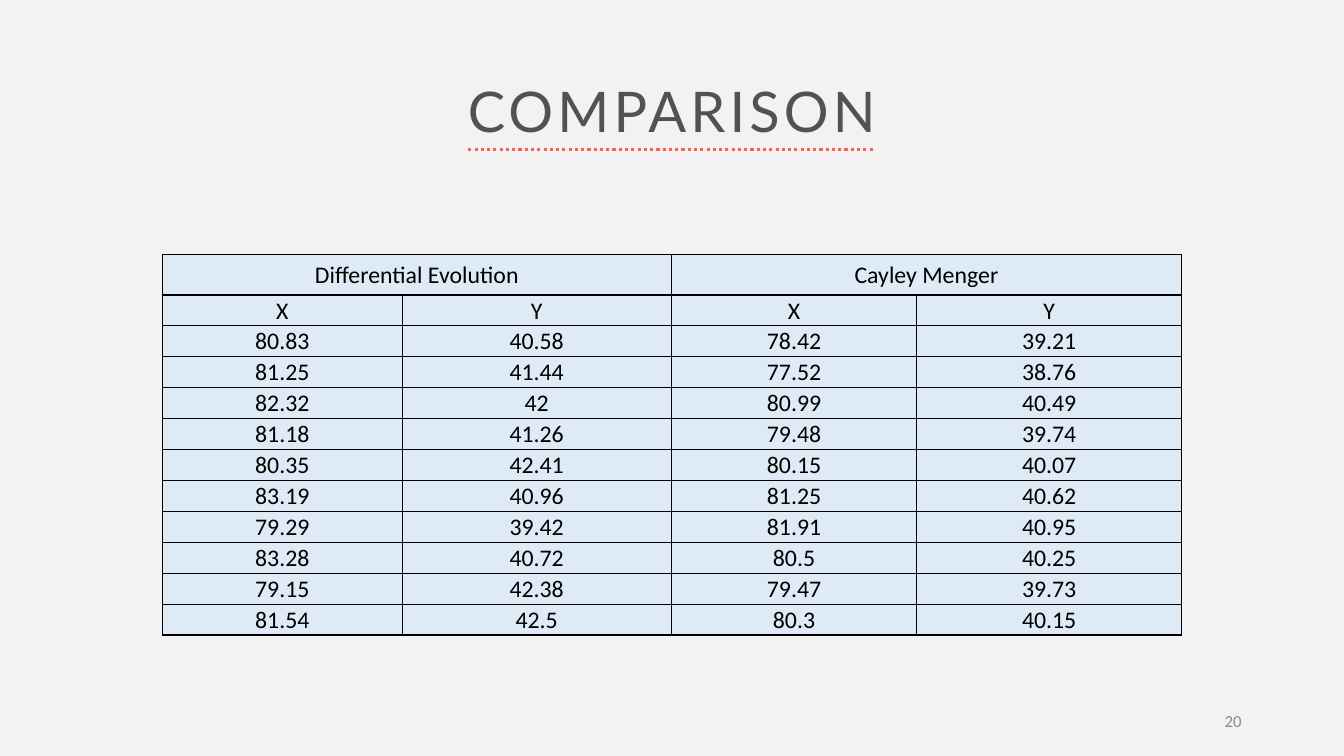
from lxml import etree
from pptx import Presentation
from pptx.dml.color import RGBColor
from pptx.enum import dml, shapes, text
from pptx.oxml import ns
from pptx.util import Pt

HEADINGS = ["Differential Evolution", "Cayley Menger"]
ROWS = [
    ["X", "Y", "X", "Y"],
    ["80.83", "40.58", "78.42", "39.21"],
    ["81.25", "41.44", "77.52", "38.76"],
    ["82.32", "42", "80.99", "40.49"],
    ["81.18", "41.26", "79.48", "39.74"],
    ["80.35", "42.41", "80.15", "40.07"],
    ["83.19", "40.96", "81.25", "40.62"],
    ["79.29", "39.42", "81.91", "40.95"],
    ["83.28", "40.72", "80.5", "40.25"],
    ["79.15", "42.38", "79.47", "39.73"],
    ["81.54", "42.5", "80.3", "40.15"],
]
COLUMN_WIDTHS = [171.3, 192.2, 175.4, 189.2]
HEADING_HEIGHT, ROW_HEIGHT = 29, 22.1


def color(value):
    return RGBColor.from_string(value)


def write(frame, words, font, size, tint, align):
    para = frame.paragraphs[0]
    para.alignment = align
    span = para.add_run()
    span.text = words
    span.font.name = font
    span.font.size = Pt(size)
    span.font.color.rgb = color(tint)
    return span


def add_title(slide, words):
    title = slide.shapes.title
    title.left, title.top, title.width, title.height = Pt(186.5), Pt(51), Pt(587), Pt(55.5)
    frame = title.text_frame
    frame.auto_size = text.MSO_AUTO_SIZE.NONE
    frame.vertical_anchor = text.MSO_ANCHOR.TOP
    span = write(frame, words, "Lato", 40, "525252", text.PP_ALIGN.CENTER)
    span.font._element.set("spc", "300")  # letter spacing, hundredths of a point


def add_dotted_line(slide, left, right, top):
    line = slide.shapes.add_connector(
        shapes.MSO_CONNECTOR.STRAIGHT, Pt(left), Pt(top), Pt(right), Pt(top))
    line.line.color.rgb = color("FF6056")
    line.line.width = Pt(2.25)
    line.line.dash_style = dml.MSO_LINE.ROUND_DOT
    etree.SubElement(line._element.spPr, ns.qn("a:effectLst"))


def add_page_number(slide, number):
    box = slide.shapes.add_textbox(Pt(678), Pt(500.5), Pt(216), Pt(28.75))
    frame = box.text_frame
    frame.word_wrap = True
    frame.vertical_anchor = text.MSO_ANCHOR.MIDDLE
    write(frame, number, "Calibri", 12, "8C8C8C", text.PP_ALIGN.RIGHT)


def style_cell(cell):
    cell.margin_left = cell.margin_right = cell.margin_top = Pt(0.7)
    cell.margin_bottom = 0
    cell.vertical_anchor = text.MSO_ANCHOR.MIDDLE
    # Borders come before the fill in the cell properties
    properties = cell._tc.get_or_add_tcPr()
    for side in ("a:lnL", "a:lnR", "a:lnT", "a:lnB"):
        border = etree.SubElement(properties, ns.qn(side), w=str(Pt(1)))
        fill = etree.SubElement(border, ns.qn("a:solidFill"))
        etree.SubElement(fill, ns.qn("a:srgbClr"), val="000000")
    cell.fill.solid()
    cell.fill.fore_color.rgb = color("DEEBF7")


def add_results(slide):
    height = HEADING_HEIGHT + ROW_HEIGHT * len(ROWS)
    table = slide.shapes.add_table(
        len(ROWS) + 1, len(COLUMN_WIDTHS), Pt(116), Pt(181.7),
        Pt(sum(COLUMN_WIDTHS)), Pt(height)).table
    table.first_row = table.horz_banding = False
    for column, width in zip(table.columns, COLUMN_WIDTHS):
        column.width = Pt(width)
    for index, row in enumerate(table.rows):
        row.height = Pt(ROW_HEIGHT if index else HEADING_HEIGHT)
    for cell in table.iter_cells():
        style_cell(cell)

    # Each method heading spans its X and Y columns
    entries = []
    for index, heading in enumerate(HEADINGS):
        cell = table.cell(0, 2 * index)
        cell.merge(table.cell(0, 2 * index + 1))
        entries.append((cell, heading))
    for r, values in enumerate(ROWS, start=1):
        entries += [(table.cell(r, c), value) for c, value in enumerate(values)]
    for cell, words in entries:
        write(cell.text_frame, words, "Calibri", 17, "000000", text.PP_ALIGN.CENTER)


def main():
    deck = Presentation()
    deck.slide_width, deck.slide_height = Pt(960), Pt(540)
    slide = deck.slides.add_slide(deck.slide_layouts[5])
    slide.background.fill.solid()
    slide.background.fill.fore_color.rgb = color("F2F2F2")

    add_page_number(slide, "20")
    add_title(slide, "COMPARISON")
    add_dotted_line(slide, 334.5, 624, 106.5)
    add_results(slide)
    deck.save("out.pptx")


main()
